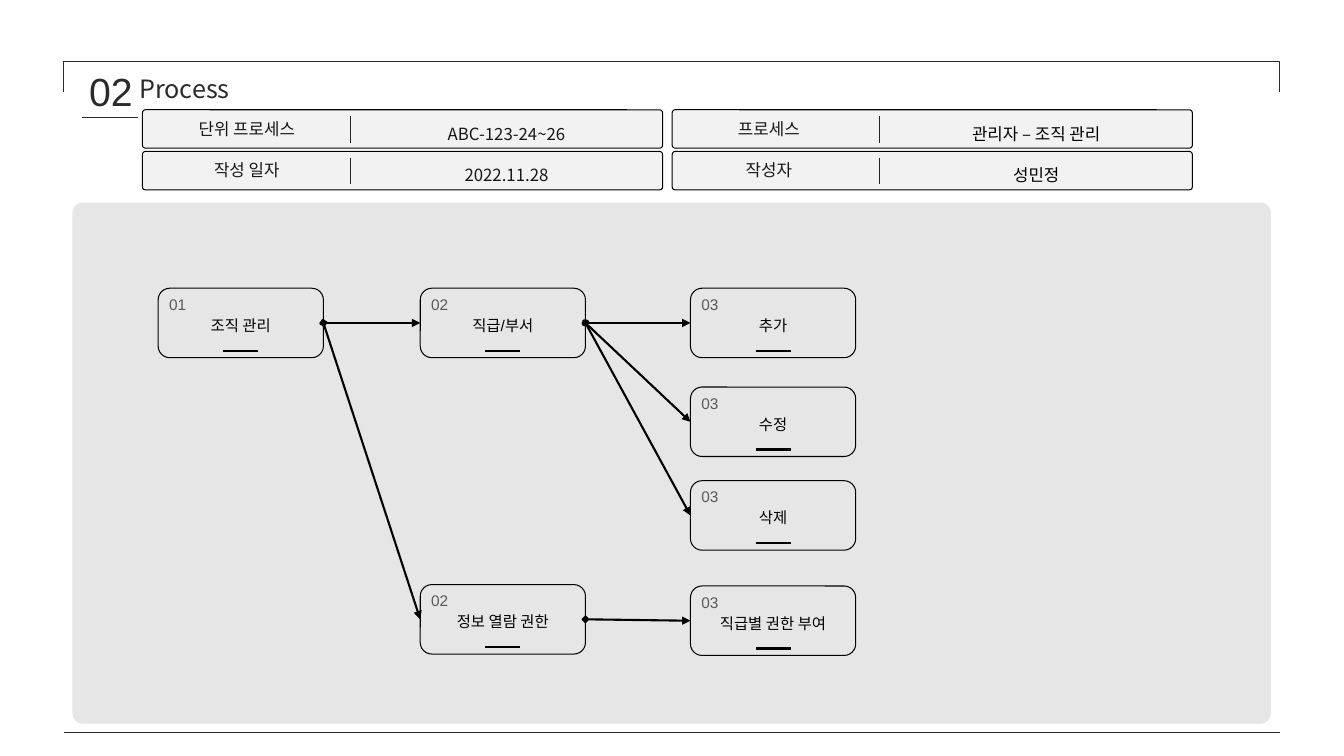
from lxml.etree import SubElement
from pptx import Presentation
from pptx.dml.color import RGBColor
from pptx.enum.shapes import MSO_CONNECTOR as CONN, MSO_SHAPE as SHAPE
from pptx.enum.text import PP_ALIGN as ALIGN
from pptx.oxml.ns import qn
from pptx.util import Pt

KOREAN = "Noto Sans CJK KR"
INK = "2A2A2A"
RIGHT, LEFT = 3, 1


def rgb(value):
    return RGBColor.from_string(value)


def add_box(s, kind, x, y, w, h, fill=None, line=None, adj=None):
    sp = s.shapes.add_shape(kind, Pt(x), Pt(y), Pt(w), Pt(h))
    sp.shadow.inherit = False
    if adj is not None:
        sp.adjustments[0] = adj
    if fill:
        sp.fill.solid()
        sp.fill.fore_color.rgb = rgb(fill)
    else:
        sp.fill.background()
    if line:
        sp.line.color.rgb = rgb(line)
        sp.line.width = Pt(0.75)
    else:
        sp.line.fill.background()
    return sp


def add_line(s, x1, y1, x2, y2, color, width=0.75):
    c = s.shapes.add_connector(CONN.STRAIGHT, Pt(x1), Pt(y1), Pt(x2), Pt(y2))
    c.line.color.rgb = rgb(color)
    c.line.width = Pt(width)
    SubElement(c._element.spPr, qn("a:effectLst"))
    return c


def add_text(s, text, x, y, w, h, size, color, font=KOREAN, align=ALIGN.LEFT,
             spacing=None, margins=(7.2, 3.6, 7.2, 3.6)):
    tf = s.shapes.add_textbox(Pt(x), Pt(y), Pt(w), Pt(h)).text_frame
    tf.word_wrap = True
    tf.margin_left, tf.margin_top, tf.margin_right, tf.margin_bottom = map(Pt, margins)
    tf.text = text
    p = tf.paragraphs[0]
    p.alignment = align
    if spacing:
        p.line_spacing = spacing
    r = p.runs[0]
    r.font.size = Pt(size)
    r.font.name = font
    r.font.color.rgb = rgb(color)
    SubElement(r._r.rPr, qn("a:ea"), typeface=KOREAN)


def add_frame(s, x, y, w, h):
    """Draw the top bracket and the bottom rule around the page."""
    depth = 21.6
    bracket = add_box(s, SHAPE.RIGHT_BRACKET, x + (w - depth) / 2,
                      y + (depth - w) / 2, depth, w, line=INK, adj=0)
    bracket.rotation = 270
    add_line(s, x, y + h, x + w, y + h, INK)


def add_title(s, x, y, number, title):
    add_text(s, title, x + 38, y + 3, 91, 24.5, 18, INK, margins=(2.9, 1.4, 8.6, 1.4))
    add_text(s, number, x + 5, y, 35.5, 57, 28, INK, "Arial", margins=(0, 0, 0, 0))
    add_line(s, x, y + 36, x + 40.3, y + 36, INK)


def add_info(s, x, y, label, value, value_color, label_center):
    w, h, divider, label_w = 371.5, 27.4, 148.3, 120
    add_box(s, SHAPE.ROUNDED_RECTANGLE, x, y, w, h, "F2F2F2", "000000", 0.075)
    add_text(s, label, x + label_center - label_w / 2, y + 0.5, label_w, 24, 12,
             "181717", align=ALIGN.CENTER, spacing=1.14)
    add_line(s, x + divider, y + 4.5, x + divider, y + 23.5, "242424")
    add_text(s, value, x + divider + 9.7, y + 1.8, 204, 26, 12, value_color,
             align=ALIGN.CENTER, spacing=1.3)


def add_step(s, x, y, number, label):
    w, h, dash = 118, 49.6, 25
    card = add_box(s, SHAPE.ROUNDED_RECTANGLE, x, y, w, h, line="000000")
    add_text(s, number, x + 0.7, y + 1.2, 44, 21, 11, "595959", "Arial")
    add_line(s, x + (w - dash) / 2, y + 44.6, x + (w + dash) / 2, y + 44.6, "000000", 1.5)
    add_text(s, label, x, y + 16.2, w, 21, 11, "000000", "Arial", ALIGN.CENTER)
    return card


def add_arrow(s, source, target):
    c = add_line(s, 0, 0, 0, 0, "000000", 1.5)
    c.begin_connect(source, RIGHT)
    c.end_connect(target, LEFT)
    ln = c.line._get_or_add_ln()
    SubElement(ln, qn("a:headEnd"), type="diamond")
    SubElement(ln, qn("a:tailEnd"), type="triangle")


def add_flow(s, x, y, w, h):
    """Draw the panel with its steps and the arrows between them."""
    add_box(s, SHAPE.ROUNDED_RECTANGLE, x, y, w, h, "E7E6E6", adj=0.02)
    columns = {"01": x + 61.2, "02": x + 248.4, "03": x + 441.4}
    steps = [
        ("01", "조직 관리", 61.2),
        ("02", "직급/부서", 61.2),
        ("02", "정보 열람 권한", 272.9),
        ("03", "추가", 61.2),
        ("03", "수정", 131.8),
        ("03", "삭제", 198.7),
        ("03", "직급별 권한 부여", 273.9),
    ]
    cards = {label: add_step(s, columns[number], y + top, number, label)
             for number, label, top in steps}
    links = {
        "조직 관리": ["직급/부서", "정보 열람 권한"],
        "직급/부서": ["추가", "수정", "삭제"],
        "정보 열람 권한": ["직급별 권한 부여"],
    }
    for source, targets in links.items():
        for target in targets:
            add_arrow(s, cards[source], cards[target])


def main():
    prs = Presentation()
    prs.slide_width, prs.slide_height = Pt(960), Pt(540)
    s = prs.slides.add_slide(prs.slide_layouts[6])
    add_flow(s, 51.8, 144.7, 856, 372.2)
    add_frame(s, 45.7, 44, 868.5, 479.5)
    add_title(s, 58.6, 48.2, "02", "Process")
    info_columns = [
        (101.8, 74.5, "181717", [("단위 프로세스", "ABC-123-24~26"), ("작성 일자", "2022.11.28")]),
        (480.2, 69, "000000", [("프로세스", "관리자 – 조직 관리"), ("작성자", "성민정")]),
    ]
    for x, label_center, color, rows in info_columns:
        for i, (label, value) in enumerate(rows):
            add_info(s, x, 78.4 + 29.8 * i, label, value, color, label_center)
    prs.save("out.pptx")


if __name__ == "__main__":
    main()
